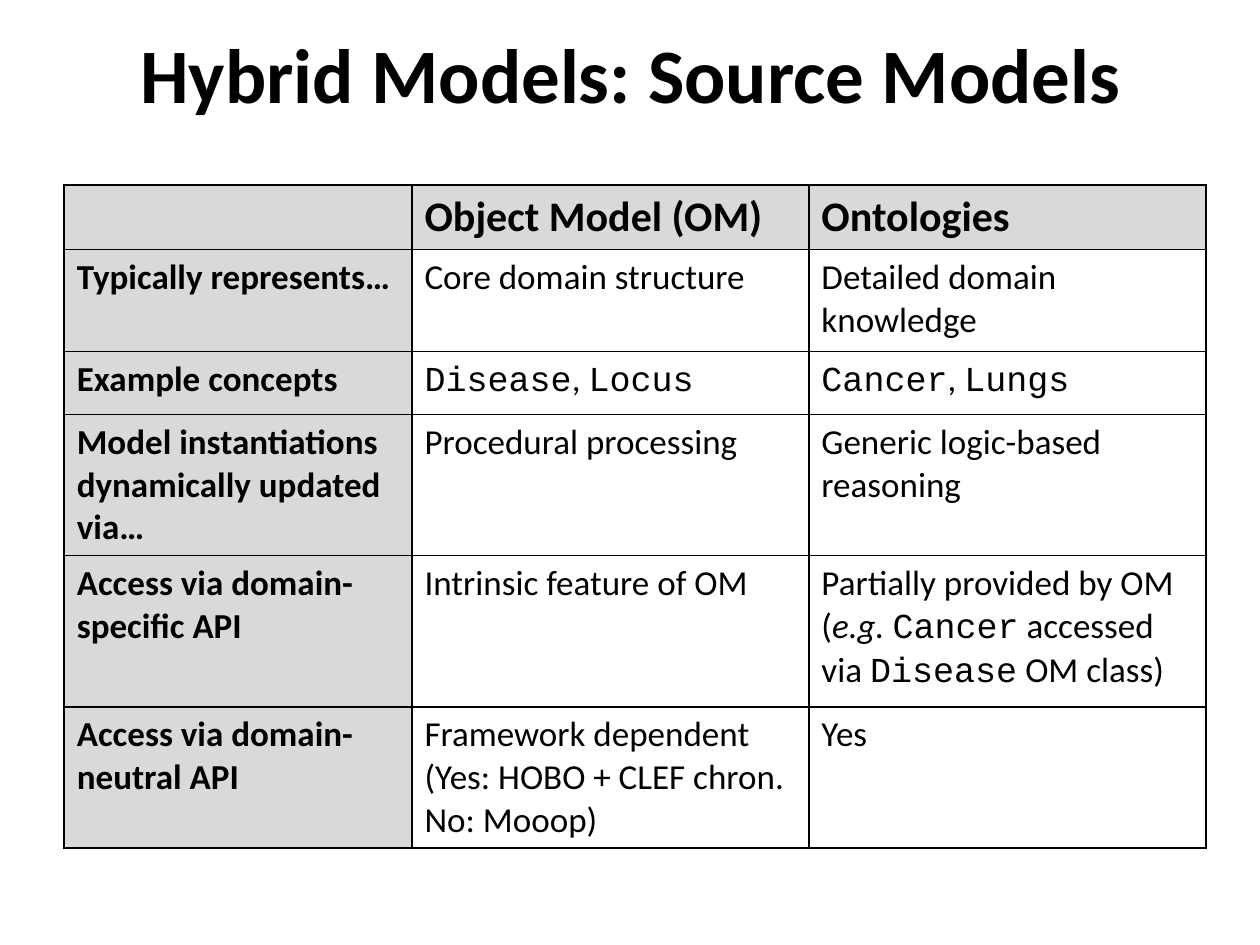
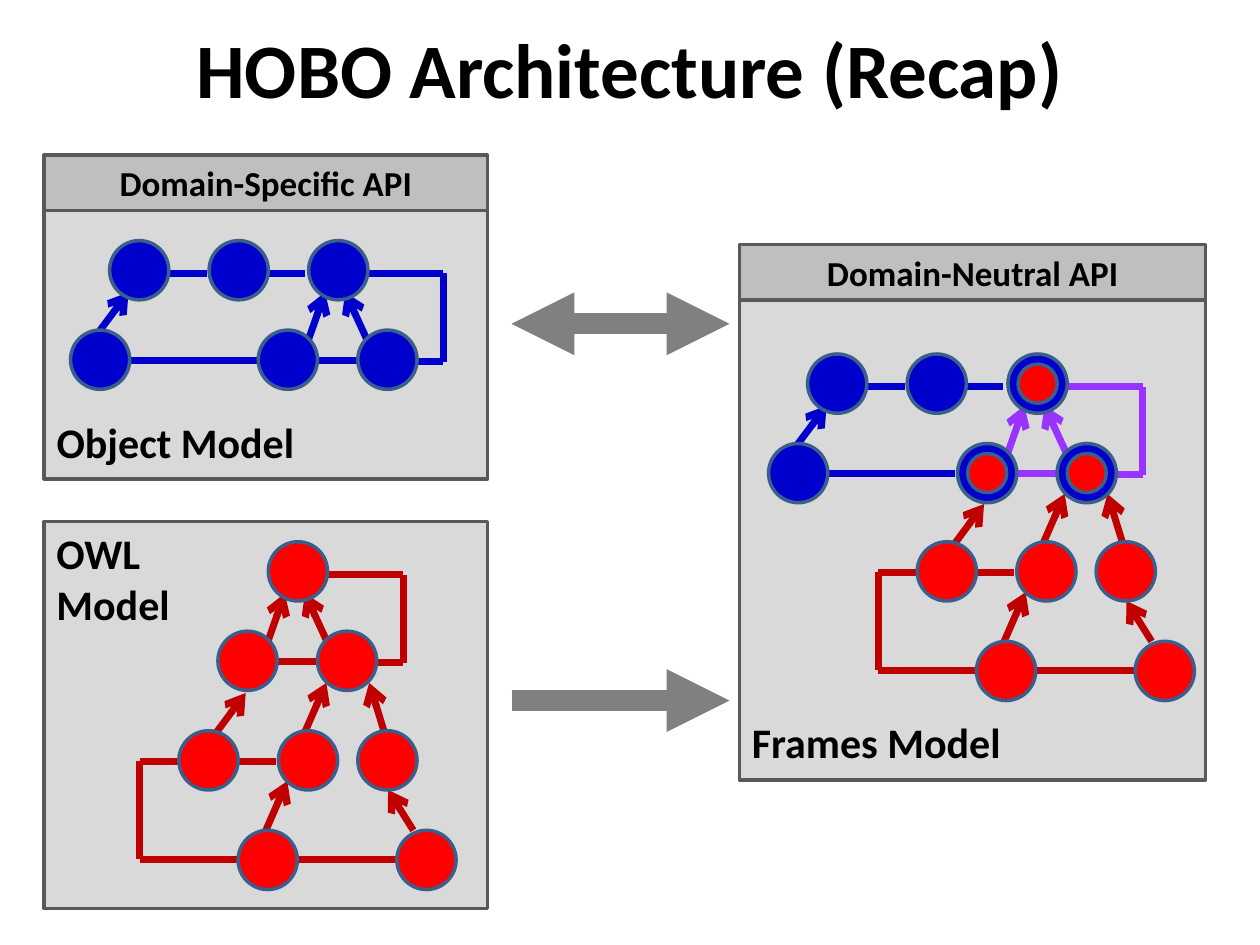
from lxml import etree
from pptx import Presentation
from pptx import util as u
from pptx.dml.color import RGBColor
from pptx.enum import shapes, text
from pptx.oxml import ns

PX = 9144  # 100 px to the inch


class Theme:
    ink, pale, band, edge = "000000", "D9D9D9", "BFBFBF", "595959"
    blue, red, rim = "0000CC", "FF0000", "3A5F8C"
    wine, violet, gray = "C00000", "9933FF", "808080"
    sans, mono = "Calibri", "Courier New"
    title, head, body = 44, 24, 20
    thin, wire, thick = 2, 4, 12


def put(slide, kind, at, fill=None, edge=None):
    """Add a text box, or a preset shape when a kind is given."""
    at = [n * PX for n in at]
    if kind is None:
        return slide.shapes.add_textbox(*at)
    shape = slide.shapes.add_shape(kind, *at)
    shape.shadow.inherit = False
    shape.fill.solid()
    shape.fill.fore_color.rgb = RGBColor.from_string(fill)
    shape.line.color.rgb = RGBColor.from_string(edge)
    shape.line.width = u.Pt(Theme.thin)
    return shape


def write(frame, words, size, bold=True, align="LEFT", anchor="TOP"):
    """Fill a frame; `code` is set in the mono font, *words* in italics."""
    frame.word_wrap = True
    frame.vertical_anchor = getattr(text.MSO_ANCHOR, anchor)
    for row, line in enumerate(words.split("\n")):
        para = frame.add_paragraph() if row else frame.paragraphs[0]
        para.alignment = getattr(text.PP_ALIGN, align)
        for i, part in enumerate(line.split("`")):
            for j, bit in enumerate(part.split("*")):
                if not bit:
                    continue
                run = para.add_run()
                run.text = bit
                form = {"name": Theme.mono if i % 2 else Theme.sans, "size": u.Pt(size),
                        "bold": bold, "italic": bool(j % 2)}
                for key, val in form.items():
                    setattr(run.font, key, val)
                run.font.color.rgb = RGBColor.from_string(Theme.ink)


deck = Presentation()
deck.slide_width, deck.slide_height = 1000 * PX, 750 * PX

# Slides and titles
pages = []
for title, at in [("Hybrid Models: Source Models", (51, 0, 900, 115)),
                  ("HOBO Architecture (Recap)", (0, 0, 1000, 107))]:
    page = deck.slides.add_slide(deck.slide_layouts[6])
    write(put(page, None, at).text_frame, title, Theme.title, align="CENTER", anchor="MIDDLE")
    pages.append(page)
first, second = pages

# Slide 1: table of source models
rows = [
    ("", "Object Model (OM)", "Ontologies"),
    ("Typically represents…", "Core domain structure", "Detailed domain knowledge"),
    ("Example concepts", "`Disease`, `Locus`", "`Cancer`, `Lungs`"),
    ("Model instantiations dynamically updated via…", "Procedural processing",
     "Generic logic-based reasoning"),
    ("Access via domain-specific API", "Intrinsic feature of OM",
     "Partially provided by OM (*e.g. *`Cancer` accessed via `Disease` OM class)"),
    ("Access via domain-neutral API",
     "Framework dependent\n(Yes: HOBO + CLEF chron. No: Mooop)", "Yes"),
]
wide, tall = (276, 315, 315), (51, 81, 50, 112, 120, 112)
table = first.shapes.add_table(len(rows), len(wide), 51 * PX, 147 * PX,
                               sum(wide) * PX, sum(tall) * PX).table
table.first_row = table.horz_banding = False
for col, n in zip(table.columns, wide):
    col.width = n * PX
for row, n in zip(table.rows, tall):
    row.height = n * PX
for r, row in enumerate(rows):
    for c, words in enumerate(row):
        cell = table.cell(r, c)
        lead = r == 0 or c == 0
        write(cell.text_frame, words, Theme.body if r else Theme.head, bold=lead)
        props = cell._tc.get_or_add_tcPr()
        for side in ("a:lnL", "a:lnR", "a:lnT", "a:lnB"):
            line = etree.SubElement(props, ns.qn(side), w=str(u.Pt(1)))
            fill = etree.SubElement(line, ns.qn("a:solidFill"))
            etree.SubElement(fill, ns.qn("a:srgbClr"), val=Theme.ink)
        if lead:
            cell.fill.solid()
            cell.fill.fore_color.rgb = RGBColor.from_string(Theme.pale)
        else:
            cell.fill.background()

# Slide 2: panels, API bands and labels
RECT, OVAL = shapes.MSO_SHAPE.RECTANGLE, shapes.MSO_SHAPE.OVAL
for at in [(587, 194, 370, 425), (35, 414, 352, 307), (35, 162, 352, 218)]:
    put(second, RECT, at, Theme.pale, Theme.edge)
for words, at in [("Domain-Specific API", (35, 123, 352, 44)),
                  ("Domain-Neutral API", (587, 194, 370, 44))]:
    band = put(second, RECT, at, Theme.band, Theme.edge)
    write(band.text_frame, words, Theme.body, align="CENTER", anchor="MIDDLE")
for words, at in [("OWL Model", (35, 414, 126, 91)),
                  ("Object Model", (35, 326, 352, 50)),
                  ("Frames Model", (587, 564, 370, 50))]:
    write(put(second, None, at).text_frame, words, Theme.head)

# Graph parts: nodes, arrows and plain links, from each part's own corner
chain = ([(31, 0), (110, 0), (0, 71)],
         [(22, 73, 46, 41)],
         [(47, 95, 148, 95), (155, 26, 186, 26), (108, 26, 77, 26)])
core = ([(40, 0), (0, 71), (79, 71)],
        [(40, 78, 53, 41), (86, 78, 69, 41)],
        [(147, 26, 147, 96), (126, 96, 147, 96), (79, 95, 47, 95), (147, 26, 84, 26)])
tree = ([(0, 0), (79, 0), (142, 0), (47, 79), (173, 79)],
        [(30, 1, 53, -30), (100, 1, 117, -38), (163, 1, 151, -38),
         (186, 79, 166, 47), (69, 79, 86, 40)],
        [(77, 24, 45, 24), (95, 102, 173, 102), (-31, 24, 0, 24),
         (-31, 24, -31, 102), (-31, 102, 47, 102)])
parts = [  # part, left, top, node colour, link colour, inner dot
    (chain, 56, 191, Theme.blue, Theme.blue, False),
    (core, 205, 191, Theme.blue, Theme.blue, False),
    (core, 173, 430, Theme.red, Theme.wine, False),
    (tree, 142, 580, Theme.red, Theme.wine, False),
    (chain, 610, 281, Theme.blue, Theme.blue, False),
    (core, 760, 281, Theme.blue, Theme.violet, True),
    (tree, 728, 430, Theme.red, Theme.wine, False),
]

# Links, with the two block arrows between the models
links = [((406, 257, 579, 257), Theme.gray, Theme.thick, {"head": "triangle", "tail": "triangle"}),
         ((406, 556, 579, 556), Theme.gray, Theme.thick, {"tail": "triangle"})]
for (_, arrows, plain), x, y, _, tint, _ in parts:
    for group, ends in [(arrows, {"tail": "arrow"}), (plain, {})]:
        for a, b, c, d in group:
            links.append(((x + a, y + b, x + c, y + d), tint, Theme.wire, ends))
for at, tint, width, ends in links:
    link = second.shapes.add_connector(shapes.MSO_CONNECTOR.STRAIGHT, *[n * PX for n in at])
    link.line.color.rgb = RGBColor.from_string(tint)
    link.line.width = u.Pt(width)
    for end, kind in ends.items():
        etree.SubElement(link.line._get_or_add_ln(), ns.qn(f"a:{end}End"), type=kind)
    etree.SubElement(link._element.spPr, ns.qn("a:effectLst"))

# Nodes on top of the links
node, dot, gap = 47, 31, 8
for (spots, _, _), x, y, tint, _, inner in parts:
    for a, b in spots:
        put(second, OVAL, (x + a, y + b, node, node), tint, Theme.rim)
        if inner:
            put(second, OVAL, (x + a + gap, y + b + gap, dot, dot), Theme.red, Theme.rim)

deck.save("out.pptx")
